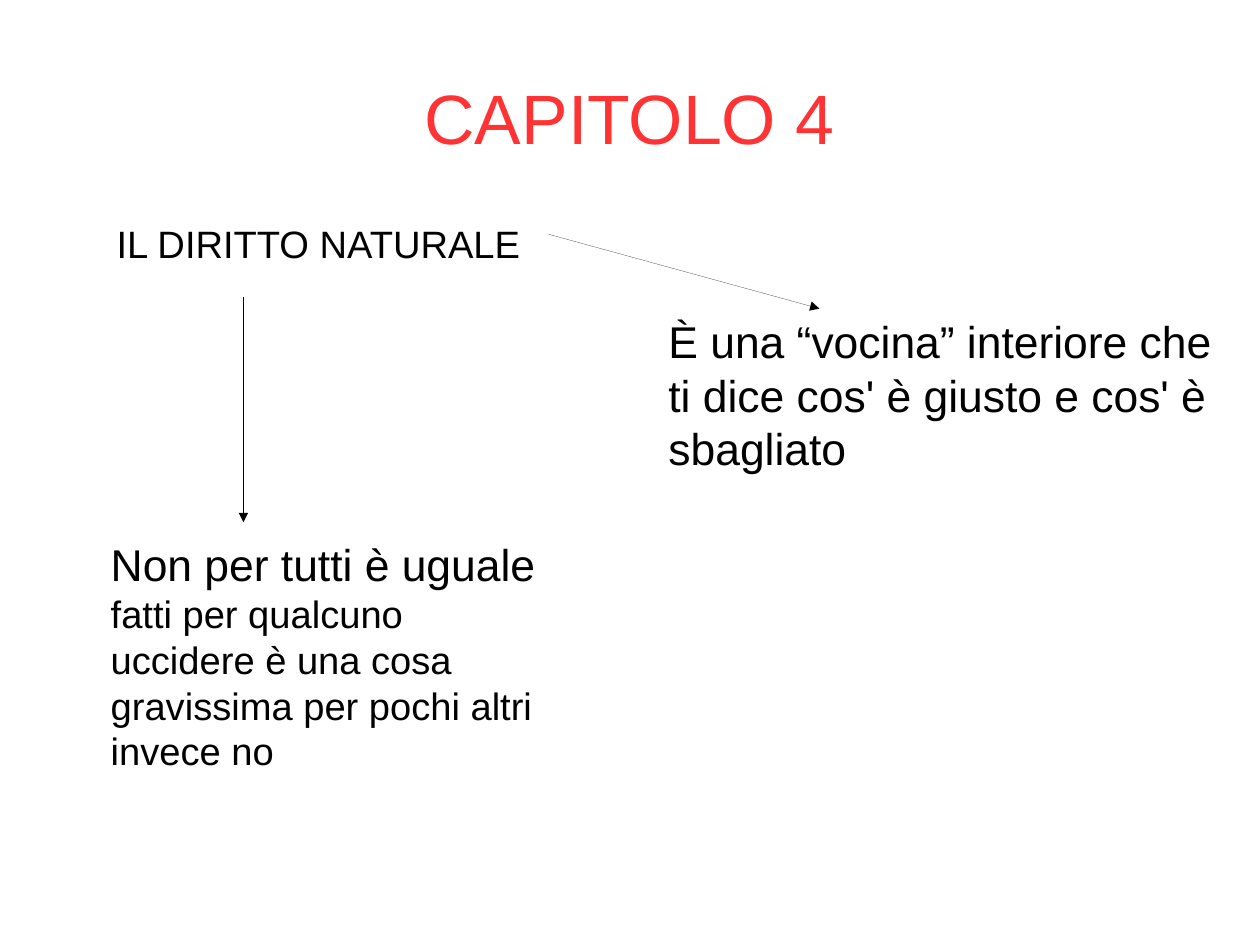
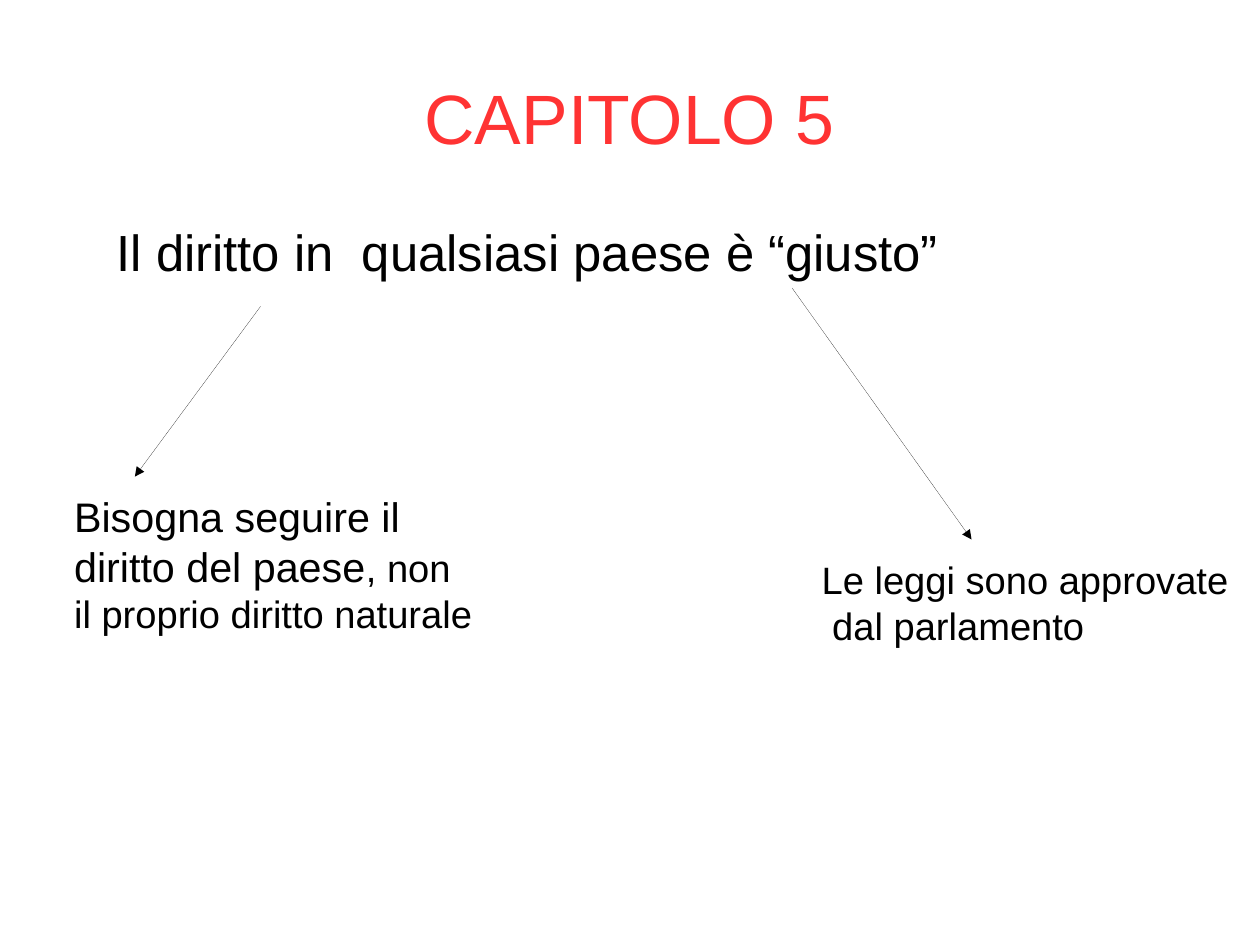
from pptx import Presentation
from pptx.dml.color import RGBColor
from pptx.enum.shapes import MSO_CONNECTOR
from pptx.enum.text import MSO_ANCHOR, MSO_AUTO_SIZE, PP_ALIGN
from pptx.oxml.ns import qn
from pptx.util import Inches, Pt
from lxml.etree import SubElement

COLORS = {"title": "FF3333", "text": "000000", "arrow": "000000"}
FONT = "Arial"
TITLE_SIZE = 44
CM_PER_INCH = 2.54

# Each text is a list of (words, size) runs; boxes are left, top, width, height
CHAPTERS = [
    {
        "title": "CAPITOLO 4",
        "topic": [("IL DIRITTO NATURALE", 24)],
        "branches": [
            {
                "arrow": (4.8, 2.05, 7.17, 2.7),
                "box": (5.75, 2.7, 5.2, 2.03),
                "runs": [("È una “vocina” interiore che ti dice cos' è giusto "
                          "e cos' è sbagliato", 28)],
            },
            {
                "arrow": (2.13, 2.6, 2.13, 4.57),
                "box": (0.87, 4.65, 4.09, 2.02),
                "runs": [("Non per tutti è uguale", 28), (" ", 18),
                         ("fatti per qualcuno uccidere è una cosa gravissima "
                          "per pochi altri invece no", 24)],
            },
        ],
    },
    {
        "title": "CAPITOLO 5",
        "topic": [("Il diritto in  qualsiasi paese è “giusto”", 32)],
        "branches": [
            {
                "arrow": (2.28, 2.68, 1.18, 4.17),
                "box": (0.55, 4.25, 3.7, 2.33),
                "runs": [("Bisogna seguire il diritto del paese", 26),
                         (", non il proprio diritto naturale", 24)],
            },
            {
                "arrow": (6.93, 2.52, 8.5, 4.72),
                "box": (7.09, 4.82, 3.78, 1.21),
                "runs": [("Le leggi sono approvate  dal parlamento", 24)],
            },
        ],
    },
]


def write_runs(frame, runs, color, margins=(0.1, 0.05)):
    frame.word_wrap = True
    frame.auto_size = MSO_AUTO_SIZE.NONE
    frame.margin_left = frame.margin_right = Inches(margins[0])
    frame.margin_top = frame.margin_bottom = Inches(margins[1])
    paragraph = frame.paragraphs[0]
    for words, size in runs:
        run = paragraph.add_run()
        run.text = words
        run.font.name = FONT
        run.font.size = Pt(size)
        run.font.color.rgb = RGBColor.from_string(color)
    return paragraph


def add_arrow(slide, ends):
    arrow = slide.shapes.add_connector(MSO_CONNECTOR.STRAIGHT, *map(Inches, ends))
    arrow.line.color.rgb = RGBColor.from_string(COLORS["arrow"])
    # An explicit zero width gives a hairline instead of the theme's width
    outline = next(arrow.element.iter(qn("a:ln")))
    outline.set("w", "0")
    SubElement(outline, qn("a:tailEnd"), type="triangle")
    SubElement(outline.getparent(), qn("a:effectLst"))


# The page measures 28 by 21 cm
prs = Presentation()
prs.slide_width = Inches(28 / CM_PER_INCH)
prs.slide_height = Inches(21 / CM_PER_INCH)
title_only = prs.slide_layouts[5]

for chapter in CHAPTERS:
    slide = prs.slides.add_slide(title_only)

    # Chapter title
    title = slide.shapes.title
    title.left, title.top = Inches(0.55), Inches(0.33)
    title.width, title.height = Inches(9.92), Inches(1.38)
    title.text_frame.vertical_anchor = MSO_ANCHOR.MIDDLE
    heading = write_runs(title.text_frame, [(chapter["title"], TITLE_SIZE)],
                         COLORS["title"], margins=(0, 0))
    heading.alignment = PP_ALIGN.CENTER

    # Topic line
    topic = slide.shapes.add_textbox(Inches(1.02), Inches(1.93), Inches(9.45), Inches(4.79))
    write_runs(topic.text_frame, chapter["topic"], COLORS["text"], margins=(0, 0))

    # Arrows and the thoughts they lead to
    for branch in chapter["branches"]:
        add_arrow(slide, branch["arrow"])
        thought = slide.shapes.add_textbox(*map(Inches, branch["box"]))
        write_runs(thought.text_frame, branch["runs"], COLORS["text"])

prs.save("out.pptx")
